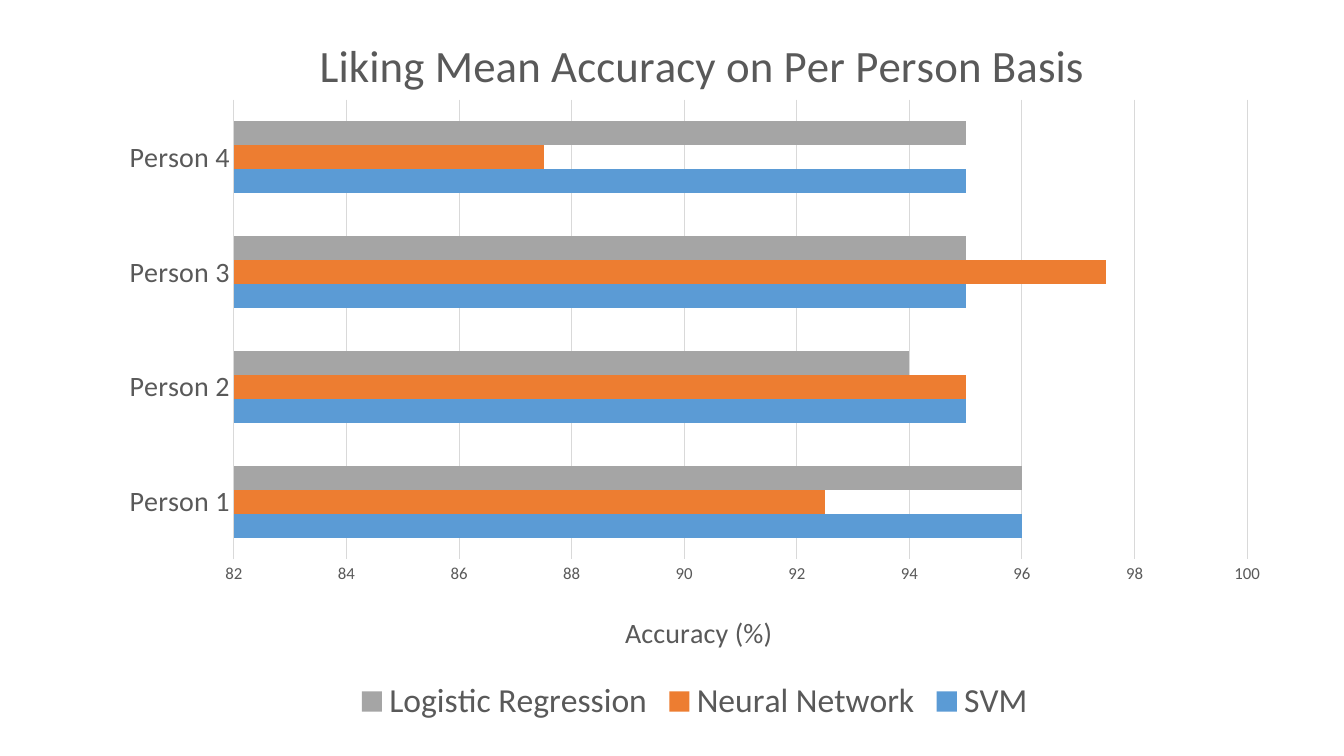
import pptx
import pptx.chart.data
import pptx.dml.color
import pptx.enum.chart
import pptx.oxml
import pptx.oxml.ns
import pptx.util
from pptx.util import Inches

COLORS = {
    "SVM": "5B9BD5",
    "Neural Network": "ED7D31",
    "Logistic Regression": "A5A5A5",
    "text": "595959",
    "grid": "D9D9D9",
}
ACCURACIES = {
    "SVM": (96, 95, 95, 95),
    "Neural Network": (92.5, 95, 97.5, 87.5),
    "Logistic Regression": (96, 94, 95, 95),
}
CHART_LEFT, CHART_WIDTH, CHART_HEIGHT = 1.05, 11.68, 7.23


def style_font(font, size):
    font.name = "Calibri"
    font.size = pptx.util.Pt(size)
    font.bold = False
    font.color.rgb = pptx.dml.color.RGBColor.from_string(COLORS["text"])


def make_layout(left, top, width=None, height=None):
    """Return a manual chart layout for a place on the slide, in inches."""
    settings = [("xMode", "edge"), ("yMode", "edge")]
    if width:
        settings.insert(0, ("layoutTarget", "inner"))
    settings += [("x", (left - CHART_LEFT) / CHART_WIDTH), ("y", top / CHART_HEIGHT)]
    if width:
        settings += [("w", width / CHART_WIDTH), ("h", height / CHART_HEIGHT)]
    children = "".join(f'<c:{tag} val="{value}"/>' for tag, value in settings)
    return pptx.oxml.parse_xml(
        f'<c:layout {pptx.oxml.ns.nsdecls("c")}>'
        f"<c:manualLayout>{children}</c:manualLayout></c:layout>"
    )


prs = pptx.Presentation()
prs.slide_width = Inches(13.33)
prs.slide_height = Inches(7.5)
slide = prs.slides.add_slide(prs.slide_layouts[6])

accuracy_data = pptx.chart.data.CategoryChartData()
accuracy_data.categories = [f"Person {number}" for number in range(1, 5)]
for method, accuracies in ACCURACIES.items():
    accuracy_data.add_series(method, accuracies)

chart = slide.shapes.add_chart(
    pptx.enum.chart.XL_CHART_TYPE.BAR_CLUSTERED,
    Inches(CHART_LEFT), Inches(0), Inches(CHART_WIDTH), Inches(CHART_HEIGHT),
    accuracy_data,
).chart
style_font(chart.font, 10)

# Bars
bars = chart.plots[0]
bars.gap_width = 182
bars.overlap = 0
bars.vary_by_categories = False
for method in bars.series:
    method.format.fill.solid()
    method.format.fill.fore_color.rgb = pptx.dml.color.RGBColor.from_string(
        COLORS[method.name])

# Axes
persons, accuracy = chart.category_axis, chart.value_axis
for axis, size in ((persons, 20), (accuracy, 12)):
    axis.major_tick_mark = pptx.enum.chart.XL_TICK_MARK.NONE
    axis.minor_tick_mark = pptx.enum.chart.XL_TICK_MARK.NONE
    style_font(axis.tick_labels.font, size)
persons.has_major_gridlines = False
accuracy.has_major_gridlines = True
accuracy.minimum_scale = 82
accuracy.maximum_scale = 100
accuracy.major_unit = 2
accuracy.format.line.fill.background()
for line in (persons.format.line, accuracy.major_gridlines.format.line):
    line.width = pptx.util.Pt(0.75)
    line.color.rgb = pptx.dml.color.RGBColor.from_string(COLORS["grid"])

# Titles and their places
for title, wording, size, left, top in (
    (chart.chart_title, "Liking Mean Accuracy on Per Person Basis", 32, 3.09, 0.26),
    (accuracy.axis_title, "Accuracy (%)", 20, 6.15, 6.03),
):
    run = title.text_frame.paragraphs[0].add_run()
    run.text = wording
    style_font(run.font, size)
    element = title._element
    for layout in element.xpath("c:layout"):
        element.remove(layout)
    element.xpath("c:tx")[0].addnext(make_layout(left, top))

plot_area = chart._chartSpace.xpath("c:chart/c:plotArea")[0]
for layout in plot_area.xpath("c:layout"):
    plot_area.remove(layout)
plot_area.insert(0, make_layout(2.32, 0.99, 10.05, 4.56))

# Legend
chart.has_legend = True
chart.legend.position = pptx.enum.chart.XL_LEGEND_POSITION.BOTTOM
chart.legend.include_in_layout = False
style_font(chart.legend.font, 24)

prs.save("out.pptx")
